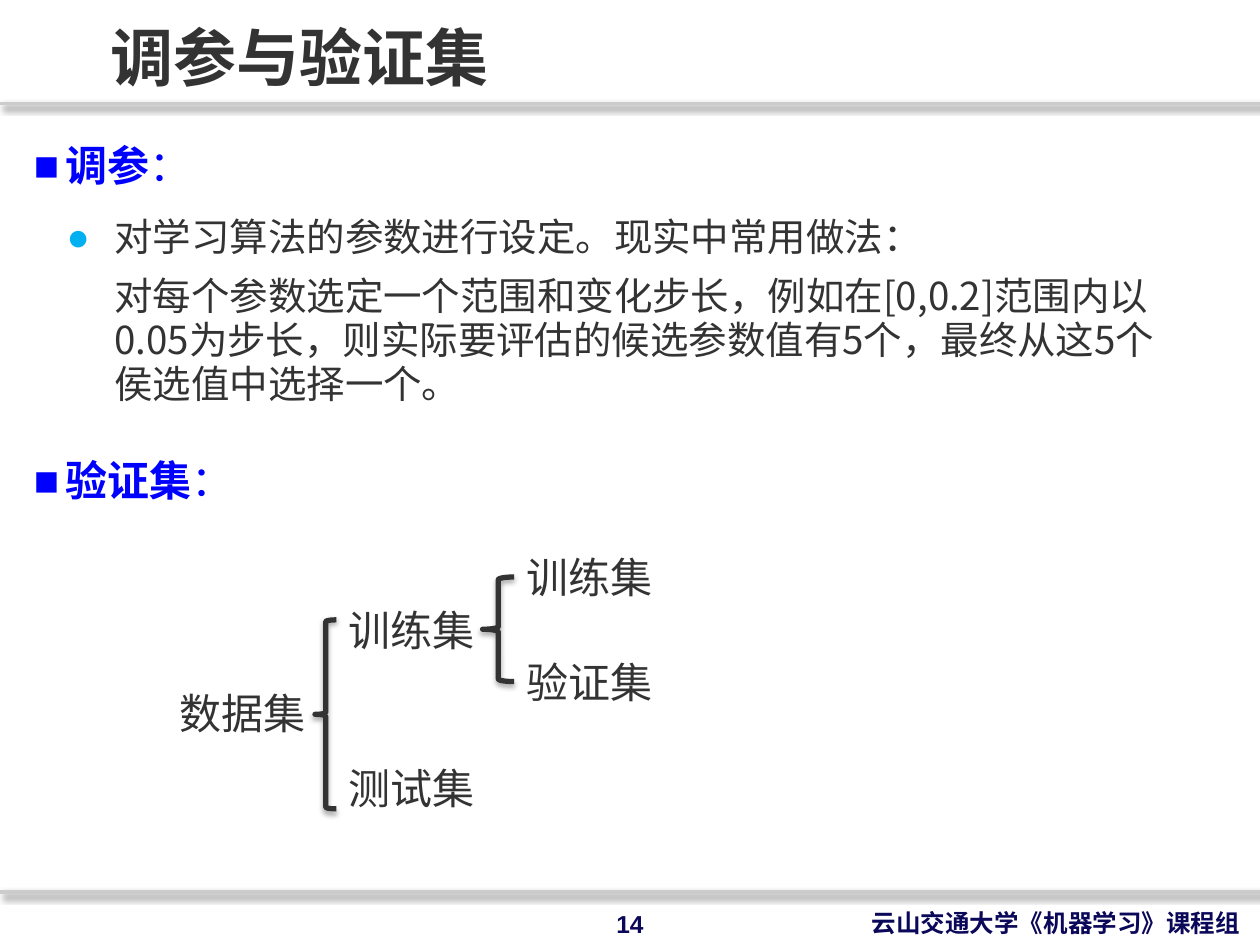
"""Build the slide on parameter tuning and validation sets."""
from lxml import etree
from pptx import Presentation
from pptx.dml.color import RGBColor
from pptx.enum import shapes as sh, text as tx
from pptx.oxml import ns
from pptx.util import Inches, Pt

DARK = RGBColor(0x33, 0x33, 0x33)
BLUE = RGBColor(0x00, 0x00, 0xFF)
SKY = RGBColor(0x00, 0xB0, 0xF0)
NAVY = RGBColor(0x0B, 0x07, 0x59)
GREY = RGBColor(0xCC, 0xCC, 0xCC)
HAN, LATIN = "Noto Sans CJK SC", "Arial"

TITLE = "调参与验证集"
FOOT = [
    ("云山交通大学《机器学习》课程组", HAN, (6.82, 7.15, 3.16, 0.34), "l"),
    ("14", LATIN, (4.76, 7.16, 0.48, 0.34), "ctr"),
]
HEADS = [("调参", 1.09), ("验证集", 3.59)]
POINT = "对学习算法的参数进行设定。现实中常用做法："
DETAIL = ("对每个参数选定一个范围和变化步长，例如在[0,0.2]范围内以0.05为步长，"
          "则实际要评估的候选参数值有5个，最终从这5个侯选值中选择一个。")
NODES = [
    ("数据集", 1.33, 5.41),
    ("训练集", 2.67, 4.75),
    ("测试集", 2.67, 6),
    ("训练集", 4.08, 4.33),
    ("验证集", 4.08, 5.16),
]
BRACES = [(2.5, 4.92, 0.17, 1.5), (3.83, 4.58, 0.25, 0.83)]
RULES = [0.82, 7.08]
ALIGN = {"l": tx.PP_ALIGN.LEFT, "ctr": tx.PP_ALIGN.CENTER}


def add_sub(node, tag, **attrs):
    return etree.SubElement(node, ns.qn(tag), {k: str(v) for k, v in attrs.items()})


def add_box(slide, area, pad=(0.1, 0.05), anchor=tx.MSO_ANCHOR.TOP, wrap=True):
    frame = slide.shapes.add_textbox(*map(Inches, area)).text_frame
    frame.word_wrap = wrap
    frame.vertical_anchor = anchor
    frame.margin_left = frame.margin_right = Inches(pad[0])
    frame.margin_top = frame.margin_bottom = Inches(pad[1])
    return frame


def add_run(para, words, size, color, font=HAN, bold=False):
    run = para.add_run()
    run.text = words
    run.font.size, run.font.bold, run.font.name = Pt(size), bold, font
    run.font.color.rgb = color
    add_sub(run.font._element, "a:ea", typeface=HAN)


def indent(para, left, hang=0, mark=None, color=None):
    props = para._p.get_or_add_pPr()
    props.set("marL", str(Inches(left)))
    props.set("indent", str(Inches(-hang)))
    if mark:
        add_sub(add_sub(props, "a:buClr"), "a:srgbClr", val=color)
        add_sub(props, "a:buFont", typeface=LATIN)
        add_sub(props, "a:buChar", char=mark)


def add_shadow(shape, alpha, blur, dist, angle):
    effects = add_sub(shape._element.spPr, "a:effectLst")
    outer = add_sub(effects, "a:outerShdw", blurRad=Pt(blur), dist=Pt(dist),
                    dir=angle * 60000, algn="tl", rotWithShape=0)
    add_sub(add_sub(outer, "a:srgbClr", val="000000"), "a:alpha", val=alpha * 1000)


def add_frame(slide):
    for words, font, area, align in FOOT:
        para = add_box(slide, area, anchor=tx.MSO_ANCHOR.MIDDLE, wrap=False).paragraphs[0]
        para.alignment = ALIGN[align]
        add_run(para, words, 14, NAVY, font, True)
    for y in RULES:
        rule = slide.shapes.add_connector(
            sh.MSO_CONNECTOR.STRAIGHT, 0, Inches(y), Inches(10), Inches(y))
        rule.line.color.rgb, rule.line.width = GREY, Pt(2)
        add_shadow(rule, 40, 4, 3, 45)
    para = add_box(slide, (0.88, -0.1, 8.62, 0.85), (0, 0), tx.MSO_ANCHOR.BOTTOM).paragraphs[0]
    para.line_spacing = 0.85
    add_run(para, TITLE, 36, DARK, bold=True)


def add_body(slide):
    for words, y in HEADS:
        para = add_box(slide, (0.17, y, 9.05, 0.57)).paragraphs[0]
        para.line_spacing = 0.95
        indent(para, 0.25, 0.25, "■", BLUE)
        add_run(para, words, 24, BLUE, bold=True)
        add_run(para, "：", 24, BLUE)
    frame = add_box(slide, (0.08, 1.67, 9.42, 1.83))
    point, detail = frame.paragraphs[0], frame.add_paragraph()
    point.level, detail.level = 1, 2
    detail.space_before = Pt(8.8)
    for para, words in ((point, POINT), (detail, DETAIL)):
        para.line_spacing = 0.95
        add_run(para, words, 22, DARK)
    indent(point, 0.73, 0.38, "●", SKY)
    indent(detail, 0.73)


def add_tree(slide):
    for words, x, y in NODES:
        para = add_box(slide, (x, y, 2, 0.5)).paragraphs[0]
        add_run(para, words, 24, DARK, LATIN)
    for area in BRACES:
        brace = slide.shapes.add_shape(sh.MSO_SHAPE.LEFT_BRACE, *map(Inches, area))
        brace.fill.background()
        brace.line.color.rgb, brace.line.width = DARK, Pt(3)
        add_shadow(brace, 35, 3.1, 1.8, 90)


def main():
    deck = Presentation()
    deck.slide_width, deck.slide_height = Inches(10), Inches(7.5)
    slide = deck.slides.add_slide(deck.slide_layouts[6])
    add_frame(slide)
    add_body(slide)
    add_tree(slide)
    deck.save("out.pptx")


if __name__ == "__main__":
    main()
